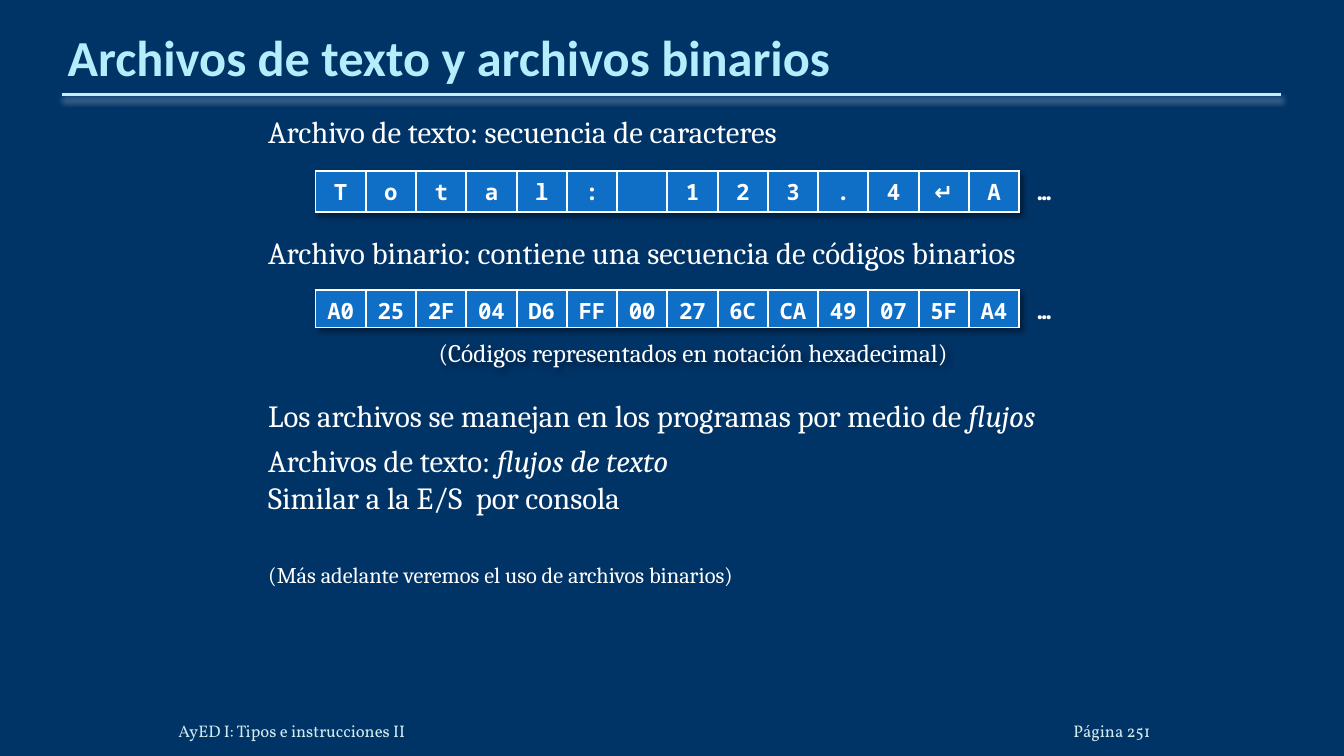
from lxml.etree import SubElement
from pptx import Presentation
from pptx.dml.color import RGBColor
from pptx.enum.shapes import MSO_CONNECTOR
from pptx.enum.text import MSO_ANCHOR, MSO_AUTO_SIZE, PP_ALIGN
from pptx.oxml import parse_xml
from pptx.oxml.ns import nsdecls, qn
from pptx.util import Inches, Pt

NAVY = RGBColor(0x00, 0x33, 0x66)
BLUE = RGBColor(0x0F, 0x6F, 0xC6)
WHITE = RGBColor(0xFF, 0xFF, 0xFF)
ICE = RGBColor(0xB5, 0xED, 0xFD)
RULE = RGBColor(0xC4, 0xEF, 0xFF)
FOOTER = RGBColor(0xD1, 0xEA, 0xEE)
TITLE_EDGE = RGBColor(0x00, 0x70, 0xC0)
RULE_SHADOW = RGBColor(0xB0, 0xC4, 0xD8)
BLACK = RGBColor(0x00, 0x00, 0x00)

# Content
TITLE = "Archivos de texto y archivos binarios"
# Each paragraph: space after in points, then (text, size, italic) pieces
BODY = [
    (60, [("Archivo de texto: secuencia de caracteres", 22, False)]),
    (90, [("Archivo binario: contiene una secuencia de códigos binarios", 22, False)]),
    (6, [("Los archivos se manejan en los programas por medio de ", 22, False),
         ("flujos", 22, True)]),
    (32, [("Archivos de texto: ", 22, False), ("flujos de texto\n", 22, True),
          ("Similar a la E/S  por consola", 22, False)]),
    (6, [("(Más adelante veremos el uso de archivos binarios)", 16, False)]),
]
STRIPS = [  # top, cells
    (2.88, ["A0", "25", "2F", "04", "D6", "FF", "00", "27", "6C", "CA",
            "49", "07", "5F", "A4", "…"]),
    (1.70, ["T", "o", "t", "a", "l", ":", "", "1", "2", "3", ".", "4", "↵", "A", "…"]),
]
CAPTION = "(Códigos representados en notación hexadecimal)"
FOOTERS = [  # text, left, width, alignment
    ("Página 251", 10.1, 1.31, PP_ALIGN.RIGHT),
    ("AyED I: Tipos e instrucciones II", 1.77, 8.13, PP_ALIGN.LEFT),
]
STRIP_LEFT, STRIP_WIDTH, STRIP_HEIGHT = 3.13, 7.48, 0.37


def write(para, text, size=22, font="Cambria", color=WHITE, bold=False, italic=False):
    """Add text to a paragraph; a newline becomes a line break of the same size."""
    for number, part in enumerate(text.split("\n")):
        if number:
            para.add_line_break()
            line_break = para._p.findall(qn("a:br"))[-1]
            SubElement(line_break, qn("a:rPr"), sz=str(size * 100))
        if number and not part:
            continue
        span = para.add_run()
        span.text = part
        span.font.size = Pt(size)
        span.font.name = font
        span.font.color.rgb = color
        span.font.bold = bold
        span.font.italic = italic
    return para


def place(box, left, top, width, height):
    box.left, box.top = Inches(left), Inches(top)
    box.width, box.height = Inches(width), Inches(height)


def set_insets(frame, left, top, right, bottom):
    frame.margin_left, frame.margin_top = Inches(left), Inches(top)
    frame.margin_right, frame.margin_bottom = Inches(right), Inches(bottom)


def shadow(color, alpha, blur, distance, angle):
    return parse_xml(
        f'<a:effectLst {nsdecls("a")}><a:outerShdw blurRad="{Pt(blur)}" '
        f'dist="{Pt(distance)}" dir="{angle * 60000}" algn="tl" rotWithShape="0">'
        f'<a:srgbClr val="{color}"><a:alpha val="{alpha * 1000}"/></a:srgbClr>'
        "</a:outerShdw></a:effectLst>")


def set_borders(cell, sides):
    properties = cell._tc.get_or_add_tcPr()
    for position, side in enumerate("LRTB"):
        fill = (f'<a:solidFill><a:srgbClr val="{WHITE}"/></a:solidFill>'
                if side in sides else "<a:noFill/>")
        properties.insert(position, parse_xml(
            f'<a:ln{side} {nsdecls("a")} w="{Pt(1.5)}">{fill}</a:ln{side}>'))


def add_strip(page, top, values):
    frame = page.shapes.add_table(1, len(values), Inches(STRIP_LEFT), Inches(top),
                                  Inches(STRIP_WIDTH), Inches(STRIP_HEIGHT))
    table = frame.table
    table.first_row = table.horz_banding = False
    table._tbl.tblPr.insert(0, shadow(BLACK, 40, 4, 3, 45))
    for column, value in enumerate(values):
        table.columns[column].width = Inches(STRIP_WIDTH / len(values))
        cell = table.cell(0, column)
        cell.vertical_anchor = MSO_ANCHOR.MIDDLE
        para = cell.text_frame.paragraphs[0]
        para.alignment = PP_ALIGN.CENTER
        write(para, value, size=16, font="Noto Sans Mono", bold=True)
        if value == "…":
            cell.fill.background()
            set_borders(cell, "L")
        else:
            cell.fill.solid()
            cell.fill.fore_color.rgb = BLUE
            set_borders(cell, "LRTB")


def main():
    deck = Presentation()
    deck.slide_width, deck.slide_height = Inches(13.33), Inches(7.5)
    page = deck.slides.add_slide(deck.slide_layouts[1])
    page.background.fill.solid()
    page.background.fill.fore_color.rgb = NAVY

    # Title
    title = page.shapes.title
    place(title, 0.67, 0.31, 12, 0.55)
    frame = title.text_frame
    frame.auto_size = MSO_AUTO_SIZE.NONE
    frame.vertical_anchor = MSO_ANCHOR.BOTTOM
    set_insets(frame, 0, 0.05, 0, 0)
    para = frame.paragraphs[0]
    para.alignment = PP_ALIGN.LEFT
    write(para, TITLE, size=36, font="Calibri", color=ICE, bold=True)
    para.runs[0]._r.get_or_add_rPr().insert(0, parse_xml(
        f'<a:ln {nsdecls("a")} w="{Pt(0.75)}"><a:solidFill>'
        f'<a:srgbClr val="{TITLE_EDGE}"/></a:solidFill></a:ln>'))

    # Rule under the title
    rule = page.shapes.add_connector(MSO_CONNECTOR.STRAIGHT, Inches(0.62), Inches(0.94),
                                     Inches(12.71), Inches(0.94))
    rule.line.color.rgb = RULE
    rule.line.width = Pt(2.25)
    rule._element.spPr.append(shadow(RULE_SHADOW, 48, 4.5, 3, 90))

    # Body
    body = page.placeholders[1]
    place(body, 2.17, 1.07, 9, 5.59)
    frame = body.text_frame
    frame.auto_size = MSO_AUTO_SIZE.NONE
    for number, (space_after, pieces) in enumerate(BODY):
        para = frame.add_paragraph() if number else frame.paragraphs[0]
        para.level = 1
        para.line_spacing = 1.0
        para.space_before, para.space_after = Pt(0), Pt(space_after)
        properties = para._p.get_or_add_pPr()
        properties.set("marL", str(Inches(0.39)))
        properties.set("indent", "0")
        SubElement(properties, qn("a:buNone"))
        for text, size, italic in pieces:
            write(para, text, size=size, italic=italic)

    # Footer
    for text, left, width, alignment in FOOTERS:
        box = page.shapes.add_textbox(Inches(left), Inches(6.95), Inches(width), Inches(0.4))
        frame = box.text_frame
        frame.word_wrap = True
        frame.vertical_anchor = MSO_ANCHOR.BOTTOM
        set_insets(frame, 0, 0, 0, 0)
        frame.paragraphs[0].alignment = alignment
        write(frame.paragraphs[0], text, size=12, font="Vollkorn", color=FOOTER)

    # Character and byte strips
    for top, values in STRIPS:
        add_strip(page, top, values)

    # Caption under the byte strip
    box = page.shapes.add_textbox(Inches(4.09), Inches(3.3), Inches(5.57), Inches(0.4))
    box._element.spPr.append(shadow(BLACK, 40, 4, 3, 45))
    frame = box.text_frame
    frame.word_wrap = False
    frame.auto_size = MSO_AUTO_SIZE.SHAPE_TO_FIT_TEXT
    para = frame.paragraphs[0]
    para.alignment = PP_ALIGN.CENTER
    para.space_after = Pt(6)
    write(para, CAPTION, size=18)

    deck.save("out.pptx")


if __name__ == "__main__":
    main()
